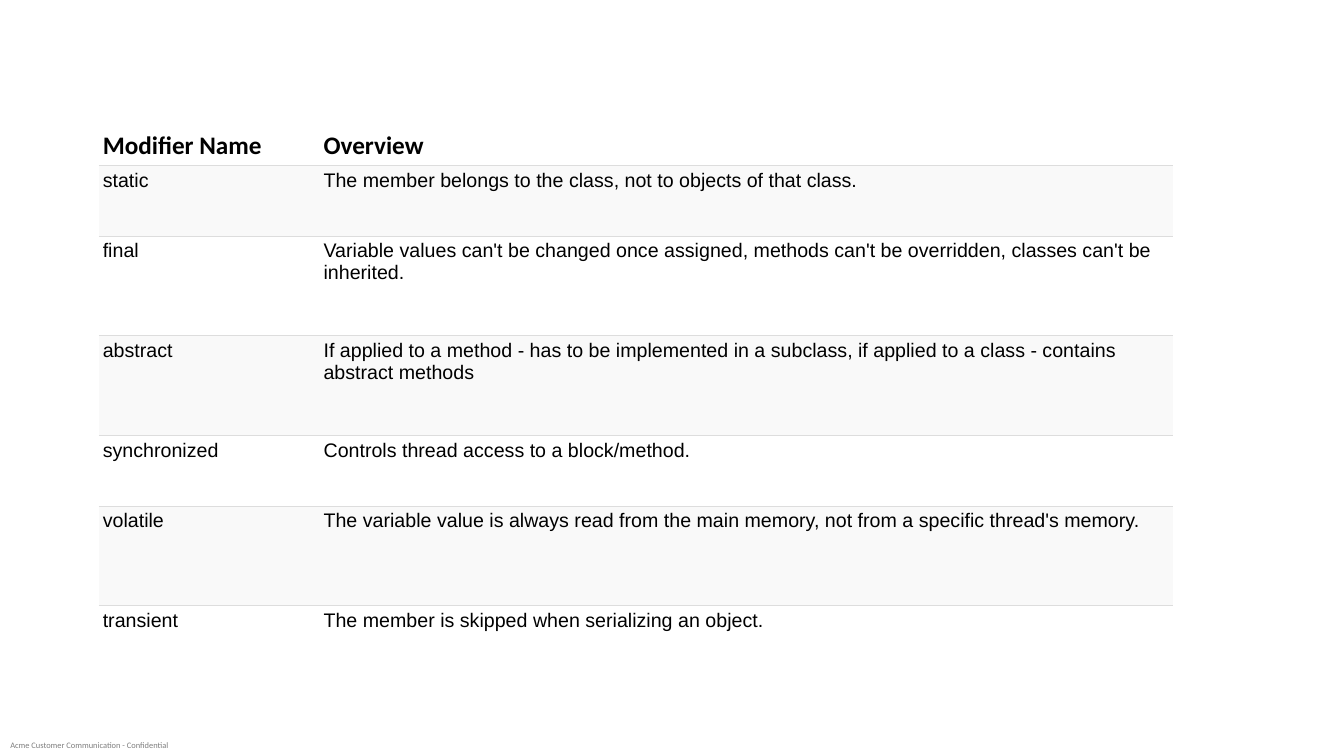
from lxml.etree import SubElement
from pptx import Presentation
from pptx.dml.color import RGBColor
from pptx.enum.text import MSO_ANCHOR as Anchor, PP_ALIGN as Align
from pptx.oxml.ns import qn
from pptx.util import Inches, Pt

# Content
HEADINGS = ("Modifier Name", "Overview")
MODIFIERS = [
    ("static", "The member belongs to the class, not to objects of that class."),
    ("final", "Variable values can't be changed once assigned, methods can't be "
              "overridden, classes can't be inherited."),
    ("abstract", "If applied to a method - has to be implemented in a subclass, "
                 "if applied to a class - contains abstract methods"),
    ("synchronized", "Controls thread access to a block/method."),
    ("volatile", "The variable value is always read from the main memory, "
                 "not from a specific thread's memory."),
    ("transient", "The member is skipped when serializing an object."),
]
FOOTER = "Acme Customer Communication - Confidential"


# Theme and layout
class Theme:
    heading_font, body_font = "Calibri", "Arial"
    heading_size, body_size, footer_size = 18, 14, 6
    text, footer = "000000", "7F7F7F"
    band, plain, rule = "F9F9F9", "FFFFFF", "DDDDDD"
    rule_width = 0.5


SHORT, TALL = 0.7, 0.99
ROW_HEIGHTS = (SHORT, SHORT, TALL, TALL, SHORT, TALL, SHORT)
COLUMN_WIDTHS = (2.19, 8.46)
TABLE_LEFT, TABLE_TOP = 0.98, 0.94
CELL_MARGIN = 0.04


def write_text(frame, text, *, font, size, color=Theme.text, bold=False,
               align=Align.LEFT, margin=0):
    frame.word_wrap = True
    frame.margin_left = frame.margin_right = Inches(margin)
    frame.margin_top = frame.margin_bottom = Inches(margin)
    paragraph = frame.paragraphs[0]
    paragraph.alignment = align
    run = paragraph.add_run()
    run.text = text
    run.font.name, run.font.size, run.font.bold = font, Pt(size), bold
    run.font.color.rgb = RGBColor.from_string(color)


def set_borders(cell, ruled_sides):
    properties = cell._tc.get_or_add_tcPr()
    for side in "LRTB":
        line = SubElement(properties, qn(f"a:ln{side}"), w=str(Pt(Theme.rule_width)))
        if side in ruled_sides:
            fill = SubElement(line, qn("a:solidFill"))
            SubElement(fill, qn("a:srgbClr"), val=Theme.rule)
        else:
            SubElement(line, qn("a:noFill"))


presentation = Presentation()
presentation.slide_width, presentation.slide_height = Inches(13.33), Inches(7.5)
slide = presentation.slides.add_slide(presentation.slide_layouts[6])

# Footer
footer = slide.shapes.add_textbox(Inches(0), Inches(7.29), Inches(1.77), Inches(0.21))
write_text(footer.text_frame, FOOTER, font=Theme.heading_font, size=Theme.footer_size,
           color=Theme.footer, align=Align.CENTER)
footer.text_frame.vertical_anchor = Anchor.MIDDLE

# Modifier table
rows = [HEADINGS, *MODIFIERS]
table = slide.shapes.add_table(
    len(rows), len(HEADINGS), Inches(TABLE_LEFT), Inches(TABLE_TOP),
    Inches(sum(COLUMN_WIDTHS)), Inches(sum(ROW_HEIGHTS))).table
table.first_row = table.horz_banding = False
for column, width in zip(table.columns, COLUMN_WIDTHS):
    column.width = Inches(width)

for row_index, (values, height) in enumerate(zip(rows, ROW_HEIGHTS)):
    table.rows[row_index].height = Inches(height)
    is_heading = row_index == 0
    is_last = row_index == len(rows) - 1
    for column_index, value in enumerate(values):
        cell = table.cell(row_index, column_index)
        set_borders(cell, "B" if is_heading else "T" if is_last else "TB")
        cell.fill.solid()
        cell.fill.fore_color.rgb = RGBColor.from_string(
            Theme.band if row_index % 2 else Theme.plain)
        cell.vertical_anchor = Anchor.BOTTOM if is_heading else Anchor.TOP
        cell.margin_left = cell.margin_right = Inches(CELL_MARGIN)
        cell.margin_top = cell.margin_bottom = Inches(CELL_MARGIN)
        write_text(cell.text_frame, value, bold=is_heading, margin=CELL_MARGIN,
                   font=Theme.heading_font if is_heading else Theme.body_font,
                   size=Theme.heading_size if is_heading else Theme.body_size)

presentation.save("out.pptx")
